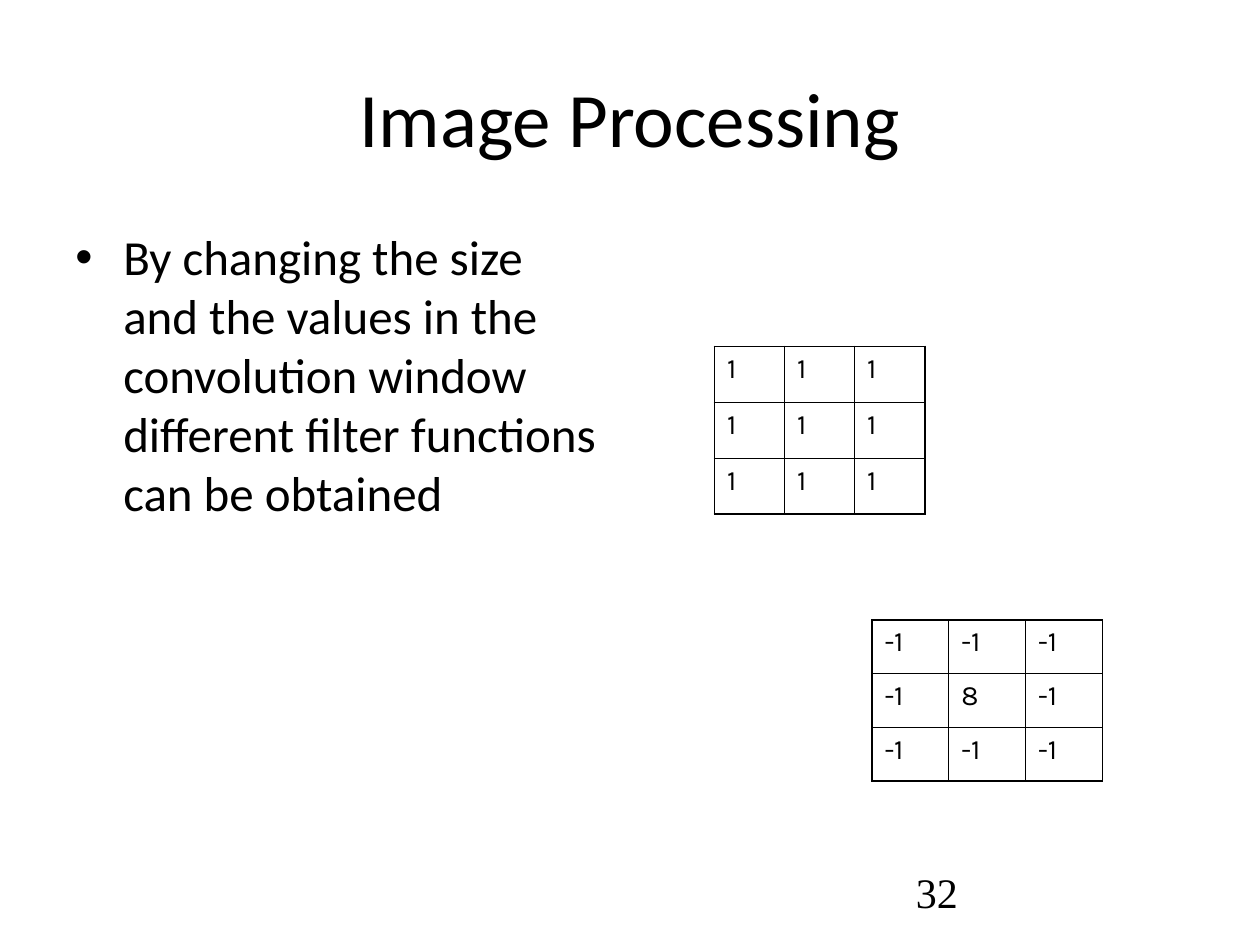
from lxml.etree import SubElement
from pptx import Presentation
from pptx.dml.color import RGBColor
from pptx.enum.text import MSO_ANCHOR, PP_ALIGN
from pptx.oxml.ns import qn
from pptx.util import Inches, Pt

BLACK = "000000"
OUTER_WIDTH = 1.08
INNER_WIDTH = 0.45


def color(value):
    return RGBColor.from_string(value)


def format_text(text_frame, font_name, size):
    for paragraph in text_frame.paragraphs:
        for run in paragraph.runs:
            run.font.name = font_name
            run.font.size = Pt(size)
            run.font.color.rgb = color(BLACK)


def set_title(slide, text):
    title = slide.shapes.title
    title.left, title.top = Inches(0.5), Inches(0.3)
    title.width, title.height = Inches(9), Inches(1.25)
    title.text_frame.text = text
    title.text_frame.vertical_anchor = MSO_ANCHOR.MIDDLE
    title.text_frame.paragraphs[0].alignment = PP_ALIGN.CENTER
    format_text(title.text_frame, "Calibri", 44)


def add_text(slide, text, left, top, width, height, font_name, size):
    box = slide.shapes.add_textbox(Inches(left), Inches(top), Inches(width), Inches(height))
    box.text_frame.word_wrap = True
    box.text_frame.text = text
    format_text(box.text_frame, font_name, size)
    return box


def add_bullet(paragraph, indent):
    properties = paragraph._p.get_or_add_pPr()
    properties.set("marL", str(Inches(indent)))
    properties.set("indent", str(-Inches(indent)))
    SubElement(properties, qn("a:buFont"), typeface="Arial")
    SubElement(properties, qn("a:buChar"), char="•")


def set_borders(cell, widths):
    properties = cell._tc.get_or_add_tcPr()
    for side, width in widths.items():
        line = SubElement(properties, qn(f"a:ln{side}"), w=str(Pt(width)))
        fill = SubElement(line, qn("a:solidFill"))
        SubElement(fill, qn("a:srgbClr"), val=BLACK)


def add_kernel(slide, values, left, top, width, height):
    size = len(values)
    frame = slide.shapes.add_table(
        size, size, Inches(left), Inches(top), Inches(width), Inches(height)
    )
    table = frame.table
    table.first_row = False
    table.horz_banding = False
    for row_index, row in enumerate(values):
        for column_index, value in enumerate(row):
            cell = table.cell(row_index, column_index)
            cell.text_frame.text = str(value)
            format_text(cell.text_frame, "Karla", 16)
            edges = {
                "L": column_index == 0,
                "R": column_index == size - 1,
                "T": row_index == 0,
                "B": row_index == size - 1,
            }
            set_borders(
                cell,
                {side: OUTER_WIDTH if outer else INNER_WIDTH for side, outer in edges.items()},
            )
            cell.fill.background()


def main():
    presentation = Presentation()
    presentation.slide_width = Inches(10)
    presentation.slide_height = Inches(7.5)
    slide = presentation.slides.add_slide(presentation.slide_layouts[5])

    set_title(slide, "Image Processing")
    body = add_text(
        slide,
        "By changing the size and the values in the convolution window "
        "different filter functions can be obtained",
        0.5, 1.75, 4.42, 4.95, "Calibri", 28,
    )
    add_bullet(body.text_frame.paragraphs[0], 0.38)

    averaging_kernel = [[1] * 3] * 3
    edge_kernel = [[-1, -1, -1], [-1, 8, -1], [-1, -1, -1]]
    add_kernel(slide, averaging_kernel, 5.67, 2.75, 1.67, 1.33)
    add_kernel(slide, edge_kernel, 6.92, 4.92, 1.83, 1.28)
    add_text(slide, "32", 7.17, 6.83, 2.33, 0.52, "Times New Roman", 24)

    presentation.save("out.pptx")


if __name__ == "__main__":
    main()
